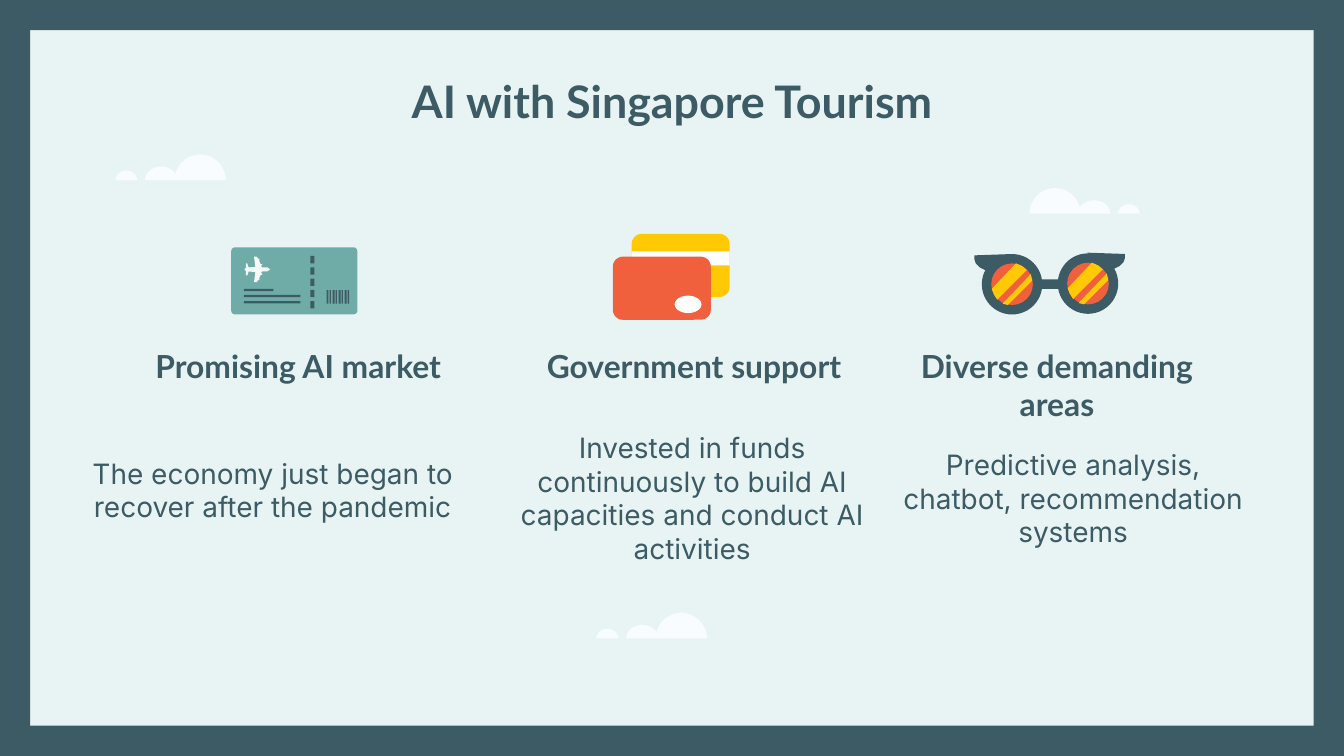
from dataclasses import dataclass
from math import cos, pi, sin

from pptx import Presentation
from pptx.dml.color import RGBColor
from pptx.enum.shapes import MSO_SHAPE
from pptx.enum.text import MSO_ANCHOR, MSO_AUTO_SIZE, PP_ALIGN
from pptx.util import Inches, Pt

RECT, ROUND, OVAL = MSO_SHAPE.RECTANGLE, MSO_SHAPE.ROUNDED_RECTANGLE, MSO_SHAPE.OVAL
TOP, MIDDLE = MSO_ANCHOR.TOP, MSO_ANCHOR.MIDDLE
CENTER, NO_FIT = PP_ALIGN.CENTER, MSO_AUTO_SIZE.NONE
COLORS = {
    "ground": "E8F4F3", "slate": "3C5B64", "teal": "70ACA7", "plane": "F6F7F7",
    "yellow": "FFCA05", "orange": "F0603C", "white": "FFFFFF", "cloud": "F9FCFF",
}
HEADING, BODY = ("Lato", 17, True), ("Inter", 15, False)


@dataclass
class Box:
    """An area of the slide, divided into columns and rows."""
    left: float
    top: float
    width: float
    height: float
    columns: float
    rows: float

    def point(self, column, row):
        return (round(self.left + column * self.width / self.columns),
                round(self.top + row * self.height / self.rows))

    def area(self, column, row, columns, rows):
        """A smaller box whose grid cells keep the size of this one's."""
        return Box(*self.point(column, row), round(columns * self.width / self.columns),
                   round(rows * self.height / self.rows), columns, rows)

    def bounds(self):
        return self.left, self.top, self.width, self.height


def color(name):
    return RGBColor.from_string(COLORS[name])


def paint(shape, fill):
    shape.shadow.inherit = False
    shape.fill.solid()
    shape.fill.fore_color.rgb = color(fill)
    shape.line.fill.background()


def add_preset(page, kind, box, fill, radius=None):
    shape = page.shapes.add_shape(kind, *box.bounds())
    if radius is not None:
        shape.adjustments[0] = radius
    paint(shape, fill)


def add_outline(page, box, points, fill):
    start, *rest = [box.point(*point) for point in points]
    builder = page.shapes.build_freeform(*start)
    builder.add_line_segments(rest, close=True)
    paint(builder.convert_to_shape(), fill)


def write_text(shape, box, text, style, anchor):
    font_name, size, bold = style
    shape.left, shape.top, shape.width, shape.height = box.bounds()
    frame = shape.text_frame
    frame.text = text
    frame.word_wrap = True
    frame.auto_size = NO_FIT
    frame.vertical_anchor = anchor
    frame.margin_left = frame.margin_right = Inches(0.1)
    frame.margin_top = frame.margin_bottom = Inches(0.1)
    para = frame.paragraphs[0]
    para.alignment = CENTER
    font = para.runs[0].font
    font.name, font.size, font.bold = font_name, Pt(size), bold
    font.color.rgb = color("slate")


def add_text(page, box, text, style, anchor):
    write_text(page.shapes.add_textbox(*box.bounds()), box, text, style, anchor)


def draw_border(page, box, thickness):
    right, bottom = box.columns - thickness, box.rows - thickness
    for edge in [(0, 0, thickness, box.rows), (right, 0, thickness, box.rows),
                 (0, 0, box.columns, thickness), (0, bottom, box.columns, thickness)]:
        add_preset(page, RECT, box.area(*edge), "slate")


def draw_cloud(page, box, flipped=False):
    for left, width, height in [(44, 38, 19), (22, 24, 10), (0, 16, 7)]:
        if flipped:
            left = box.columns - left - width
        angles = [pi * step / 24 for step in range(25)]
        dome = [(left + width / 2 * (1 - cos(angle)), box.rows - height * sin(angle))
                for angle in angles]
        add_outline(page, box, dome, "cloud")


def draw_ticket(page, box):
    add_preset(page, ROUND, box, "teal", 0.06)
    middle = 16.5
    half = [(29, 0), (27, 1.5), (23, 1.5), (22, 3), (23, 3), (23, 4), (22, 4), (21, 6),
            (21, 8), (20, 8), (19, 9.5), (17, 9.5), (18, 2), (13, 1.5), (12, 4.5),
            (11, 4.5), (11, 1), (10, 0.5)]
    plane = ([(column, middle - row) for column, row in half]
             + [(column, middle + row) for column, row in reversed(half)])
    add_outline(page, box, plane, "plane")
    for dash in range(5):
        add_preset(page, RECT, box.area(59, 6.5 + 8.4 * dash, 3, 5.5), "slate")
    for row, columns in [(31, 22), (35.5, 42), (40, 42)]:
        add_preset(page, RECT, box.area(9.5, row, columns, 1.7), "slate")
    for bar in range(8):
        width = 1 if bar % 2 else 1.5
        add_preset(page, RECT, box.area(71 + 2.25 * bar, 32, width, 10), "slate")


def draw_cards(page, box):
    add_preset(page, ROUND, box.area(14, 0, 73, 47), "yellow", 0.16)
    add_preset(page, RECT, box.area(14, 13, 73, 10.5), "white")
    add_preset(page, ROUND, box.area(0, 17, 73, 47), "orange", 0.16)
    add_preset(page, OVAL, box.area(46, 46, 20, 13), "white")


def draw_glasses(page, box):
    arm = [(0, 2), (0, 5), (1, 8), (4, 11), (8, 13), (16, 9), (28, 1)]
    add_outline(page, box, arm, "slate")
    add_outline(page, box, [(box.columns - column, row - 1) for column, row in arm], "slate")
    add_preset(page, RECT, box.area(48, 20, 16, 7), "slate")
    wide_stripe = [(18.5, 0), (0.5, 19), (2, 23), (4.5, 27), (26.5, 5), (23, 2)]
    thin_stripe = [(29.5, 8), (8.5, 30), (12.5, 31), (30.5, 13)]
    for column, row in [(5.5, 1), (62, 0.5)]:
        add_preset(page, OVAL, box.area(column, row, 45, 45), "slate")
        lens = box.area(column + 7, row + 7, 31, 31)
        add_preset(page, OVAL, lens, "orange")
        for stripe in (wide_stripe, thin_stripe):
            add_outline(page, lens, stripe, "yellow")


def build_slide(deck):
    page = deck.slides.add_slide(deck.slide_layouts[5])
    page.background.fill.solid()
    page.background.fill.fore_color.rgb = color("ground")
    canvas = Box(0, 0, deck.slide_width, deck.slide_height, 1000, 562.5)
    draw_border(page, canvas, 22.5)
    write_text(page.shapes.title, canvas.area(75, 58, 850, 33),
               "AI with Singapore Tourism", ("Lato", 24, True), MIDDLE)

    topics = [
        ("Promising AI market", (96, 248, 252, 45),
         "The economy just began to recover after the pandemic", (48, 325, 310, 79),
         draw_ticket, (172, 184, 94, 50)),
        ("Government support", (368, 248, 297, 45),
         "Invested in funds continuously to build AI capacities and conduct AI activities",
         (374, 331, 282, 79), draw_cards, (456, 174, 87, 64)),
        ("Diverse demanding areas", (645, 248, 283, 45),
         "Predictive analysis, chatbot, recommendation systems", (657, 331, 283, 79),
         draw_glasses, (725, 188, 112, 46)),
    ]
    for heading, heading_area, body, body_area, draw_icon, icon_area in topics:
        add_text(page, canvas.area(*heading_area), heading, HEADING, TOP)
        add_text(page, canvas.area(*body_area), body, BODY, MIDDLE)
        draw_icon(page, canvas.area(*icon_area))
    for column, row, flipped in [(86, 115, False), (766, 140, True), (444, 456, False)]:
        draw_cloud(page, canvas.area(column, row, 82, 19), flipped)


def main():
    deck = Presentation()
    deck.slide_width = Inches(10)
    deck.slide_height = deck.slide_width * 9 // 16
    build_slide(deck)
    deck.save("out.pptx")


if __name__ == "__main__":
    main()
